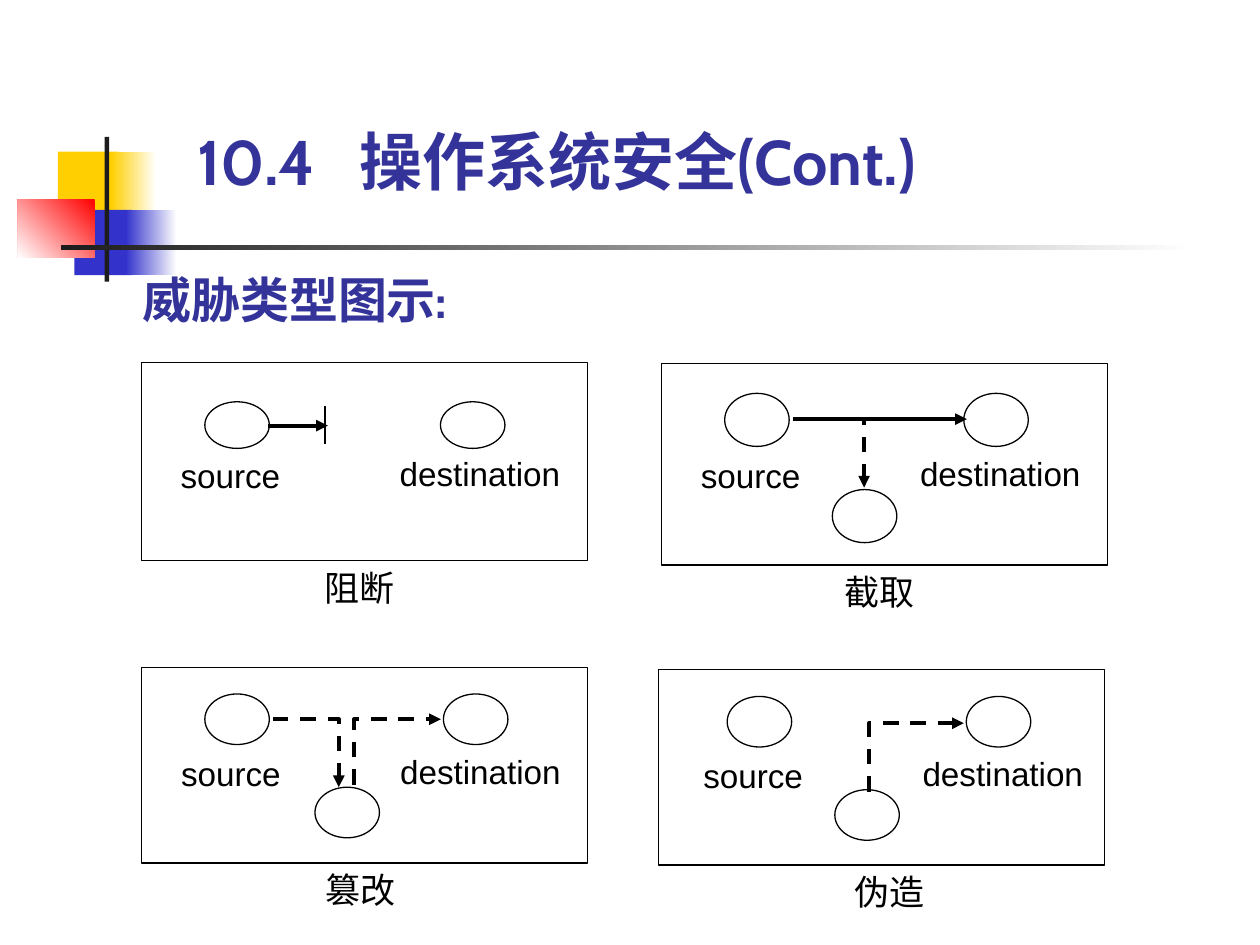
from dataclasses import dataclass

from lxml import etree
from pptx import Presentation, util as u
from pptx.dml.color import RGBColor
from pptx.enum import dml, shapes, text
from pptx.oxml import ns

HUES = {
    "ink": "000000", "head": "333399", "gold": "FFCF01", "blue": "3333CC",
    "red": "FF0000", "dark": "1C1C1C", "white": "FFFFFF",
}
PANEL_W, OVAL_W = 8.99, 1.3
DEST_DX = 4.42


@dataclass
class Block:
    left: float
    top: float
    width: float
    height: float
    hue: str
    fade: str = ""
    angle: int = 180


@dataclass
class Route:
    points: list[tuple[float, float]]
    dash: bool = False
    width: float = 2.25
    head: bool = True


@dataclass
class Panel:
    name: str
    left: float
    top: float
    height: float
    oval_h: float
    source: tuple[float, float]
    dest_x: float
    label: tuple[float, float]
    name_x: float
    routes: list[Route]
    third: tuple[float, float] | None = None


BLOCKS = [
    Block(1.17, 3.06, 1.22, 1.32, "gold"),
    Block(2.24, 3.06, 0.91, 1.32, "white", "gold"),
    Block(1.5, 4.23, 1.17, 1.32, "blue"),
    Block(2.54, 4.23, 1.02, 1.32, "white", "blue"),
    Block(0.36, 4.02, 1.55, 1.17, "red", "white", 225),
    Block(2.11, 2.76, 0.09, 2.92, "dark"),
    Block(1.23, 4.94, 22.86, 0.1, "white", "dark"),
]

PANELS = [
    Panel("阻断", 2.86, 7.31, 3.99, 0.94, (1.27, 0.79), 6.02, (0.53, 1.73), 3.43, [
        Route([(3.69, 0.87), (3.69, 1.65)], width=0.75, head=False),
        Route([(2.54, 1.27), (3.75, 1.27)]),
    ]),
    Panel("截取", 13.34, 7.33, 4.06, 1.07, (1.27, 0.6), 6.09, (0.54, 1.71), 3.43, [
        Route([(2.64, 1.12), (6.15, 1.12)]),
        Route([(3.33, 1.12), (4.08, 1.12), (4.08, 2.5)], dash=True),
    ], (3.44, 2.54)),
    Panel("篡改", 2.86, 13.46, 3.94, 1.02, (1.27, 0.53), 6.08, (0.54, 1.59), 3.45, [
        Route([(2.64, 1.04), (3.97, 1.04), (3.97, 2.41)], dash=True),
        Route([(4.28, 2.36), (4.28, 1.04), (6.03, 1.04)], dash=True),
    ], (3.49, 2.41)),
    Panel("伪造", 13.28, 13.5, 3.94, 1.02, (1.38, 0.54), 6.2, (0.65, 1.59), 3.68, [
        Route([(4.24, 2.46), (4.24, 1.08), (6.15, 1.08)], dash=True),
    ], (3.55, 2.42)),
]


def tint(hue: str) -> RGBColor:
    return RGBColor.from_string(HUES[hue])


def draw_block(slide, block: Block) -> None:
    box = slide.shapes.add_shape(
        shapes.MSO_SHAPE.RECTANGLE, u.Cm(block.left), u.Cm(block.top),
        u.Cm(block.width), u.Cm(block.height))
    box.shadow.inherit = False
    box.line.fill.background()
    if block.fade:
        box.fill.gradient()
        box.fill.gradient_angle = block.angle
        for stop, hue in zip(box.fill.gradient_stops, (block.hue, block.fade)):
            stop.color.rgb = tint(hue)
    else:
        box.fill.solid()
        box.fill.fore_color.rgb = tint(block.hue)


def draw_frame(slide, kind, left: float, top: float, width: float, height: float) -> None:
    form = slide.shapes.add_shape(kind, u.Cm(left), u.Cm(top), u.Cm(width), u.Cm(height))
    form.shadow.inherit = False
    form.fill.background()
    form.line.color.rgb = tint("ink")
    form.line.width = u.Pt(0.75)


def draw_route(slide, route: Route, left: float, top: float) -> None:
    points = [(u.Cm(left + x), u.Cm(top + y)) for x, y in route.points]
    if len(points) == 2:
        line = slide.shapes.add_connector(
            shapes.MSO_CONNECTOR.STRAIGHT, *points[0], *points[1])
        etree.SubElement(line.element.spPr, ns.qn("a:effectLst"))
    else:
        pen = slide.shapes.build_freeform(*points[0], scale=1.0)
        pen.add_line_segments(points[1:], close=False)
        line = pen.convert_to_shape()
        line.shadow.inherit = False
        line.fill.background()
    line.line.color.rgb = tint("ink")
    line.line.width = u.Pt(route.width)
    if route.dash:
        line.line.dash_style = dml.MSO_LINE.DASH
    if route.head:
        etree.SubElement(line.line._get_or_add_ln(), ns.qn("a:tailEnd"), type="triangle")


def style(frame, size: float, font: str, hue: str, bold: bool = False) -> None:
    for run in frame.paragraphs[0].runs:
        run.font.size = u.Pt(size)
        run.font.name = font
        run.font.bold = bold
        run.font.color.rgb = tint(hue)


def draw_label(slide, words: str, left: float, top: float, width: float,
               size: float, font: str) -> None:
    box = slide.shapes.add_textbox(u.Cm(left), u.Cm(top), u.Cm(width), u.Cm(1.07))
    frame = box.text_frame
    frame.margin_left = frame.margin_right = 0
    frame.word_wrap = False
    frame.vertical_anchor = text.MSO_ANCHOR.MIDDLE
    frame.text = words
    frame.paragraphs[0].alignment = text.PP_ALIGN.CENTER
    style(frame, size, font, "ink")


def draw_head(box, words: str, place: tuple, size: float, anchor) -> None:
    box.left, box.top, box.width, box.height = map(u.Cm, place)
    frame = box.text_frame
    frame.margin_left = frame.margin_right = frame.margin_top = frame.margin_bottom = 0
    frame.word_wrap = True
    frame.auto_size = text.MSO_AUTO_SIZE.NONE
    frame.vertical_anchor = anchor
    frame.text = words
    frame.paragraphs[0].alignment = text.PP_ALIGN.LEFT
    style(frame, size, "Cabin", "head", True)


def draw_panel(slide, panel: Panel) -> None:
    left, top = panel.left, panel.top
    draw_frame(slide, shapes.MSO_SHAPE.RECTANGLE, left, top, PANEL_W, panel.height)
    spots = [panel.source, (panel.dest_x, panel.source[1])]
    if panel.third:
        spots.append(panel.third)
    for x, y in spots:
        draw_frame(slide, shapes.MSO_SHAPE.OVAL, left + x, top + y, OVAL_W, panel.oval_h)
    for route in panel.routes:
        draw_route(slide, route, left, top)
    x, y = left + panel.label[0], top + panel.label[1]
    draw_label(slide, "source", x, y, 2.51, 19, "Arial")
    draw_label(slide, "destination", x + DEST_DX, y - 0.03, 3.73, 19, "Arial")
    draw_label(slide, panel.name, left + panel.name_x, top + panel.height, 1.93,
               20, "Times New Roman")


def main() -> None:
    deck = Presentation()
    deck.slide_width, deck.slide_height = u.Cm(25.4), u.Cm(19.05)
    slide = deck.slides.add_slide(deck.slide_layouts[5])
    for block in BLOCKS:
        draw_block(slide, block)
    draw_head(slide.shapes.title, "威胁类型图示:", (2.87, 5.42, 7.29, 1.19), 28,
              text.MSO_ANCHOR.BOTTOM)
    for panel in PANELS:
        draw_panel(slide, panel)
    head = slide.shapes.add_textbox(0, 0, 0, 0)
    draw_head(head, "10.4\t操作系统安全(Cont.)", (3.98, 2.48, 17.91, 1.52), 36,
              text.MSO_ANCHOR.MIDDLE)
    props = head.text_frame.paragraphs[0]._p.get_or_add_pPr()
    tabs = etree.SubElement(props, ns.qn("a:tabLst"))
    etree.SubElement(tabs, ns.qn("a:tab"), pos=str(u.Cm(3.26)), algn="l")
    deck.save("out.pptx")


if __name__ == "__main__":
    main()
